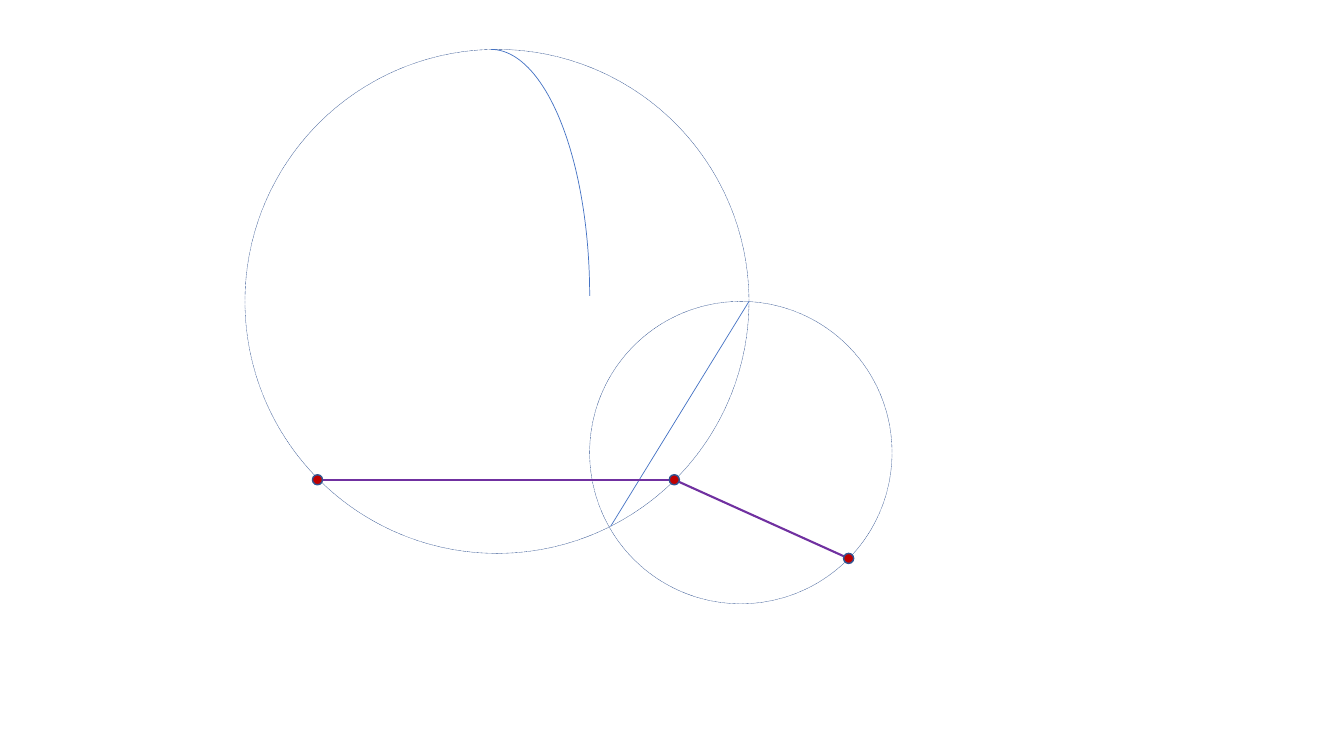
from itertools import pairwise

from lxml import etree
from pptx import Presentation
from pptx.dml.color import RGBColor
from pptx.enum.dml import MSO_LINE_DASH_STYLE as DASH
from pptx.enum.shapes import MSO_CONNECTOR as CONN, MSO_SHAPE as SHAPE
from pptx.oxml.ns import qn
from pptx.util import Pt

COLORS = {"outline": "325491", "blue": "4472C4", "link": "7030A0", "joint": "C00000"}


class Diagram:
    """Holds the current slide and draws styled elements, all in points."""

    def __init__(self, slide, colors):
        self.slide = slide
        self.colors = colors

    def color(self, name):
        return RGBColor.from_string(self.colors[name])

    def style_line(self, line, color, width, dash=None):
        line.color.rgb = self.color(color)
        line.width = Pt(width)
        if dash is not None:
            line.dash_style = dash

    def shape(self, kind, x, y, w, h, color, width, fill=None, dash=None):
        sp = self.slide.shapes.add_shape(kind, Pt(x), Pt(y), Pt(w), Pt(h))
        sp.shadow.inherit = False
        if fill:
            sp.fill.solid()
            sp.fill.fore_color.rgb = self.color(fill)
        else:
            sp.fill.background()
        self.style_line(sp.line, color, width, dash)

    def circle(self, cx, cy, r, width, fill=None, dash=None):
        self.shape(SHAPE.OVAL, cx - r, cy - r, 2 * r, 2 * r, "outline", width, fill, dash)

    def line(self, start, end, color, width):
        cxn = self.slide.shapes.add_connector(CONN.STRAIGHT, *map(Pt, start + end))
        self.style_line(cxn.line, color, width)
        etree.SubElement(cxn._element.spPr, qn("a:effectLst"))


def main():
    prs = Presentation()
    prs.slide_width, prs.slide_height = Pt(960), Pt(540)
    d = Diagram(prs.slides.add_slide(prs.slide_layouts[6]), COLORS)

    # Dotted guide circles: centre x, centre y, radius
    for cx, cy, r in [(355, 215.3, 180), (529.2, 323.3, 108)]:
        d.circle(cx, cy, r, 0.25, dash=DASH.ROUND_DOT)

    # Chord through the two crossings of the circles
    d.line((535, 215.3), (436.3, 375.8), "blue", 0.5)

    # Linkage bars between neighbouring joints, then the joints on top
    joints = [(226.8, 342.7), (481.7, 342.7), (606.2, 398.9)]
    for start, end in pairwise(joints):
        d.line(start, end, "link", 1.5)
    for cx, cy in joints:
        d.circle(cx, cy, 3.6, 1, fill="joint")

    # Quarter arc falling from the top of the large circle
    d.shape(SHAPE.ARC, 280, 35.3, 141.2, 352, "blue", 0.5)

    prs.save("out.pptx")


if __name__ == "__main__":
    main()
